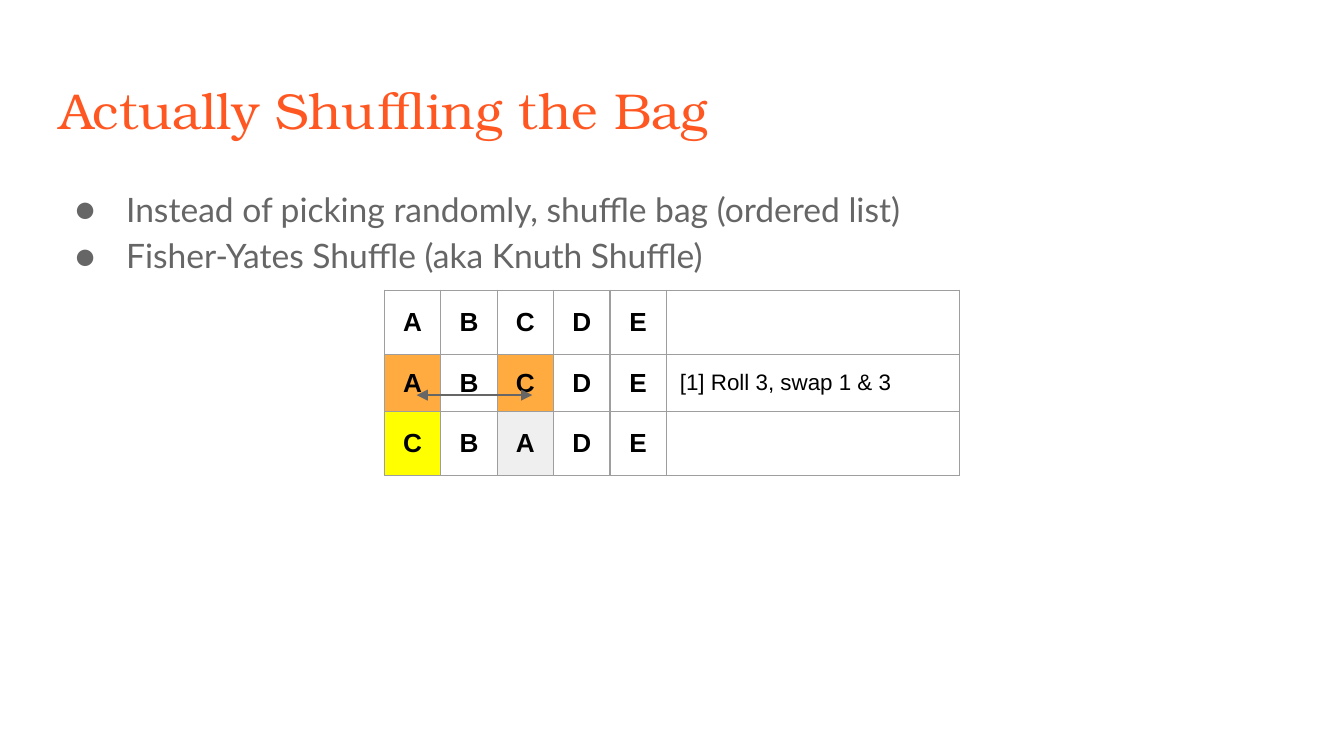
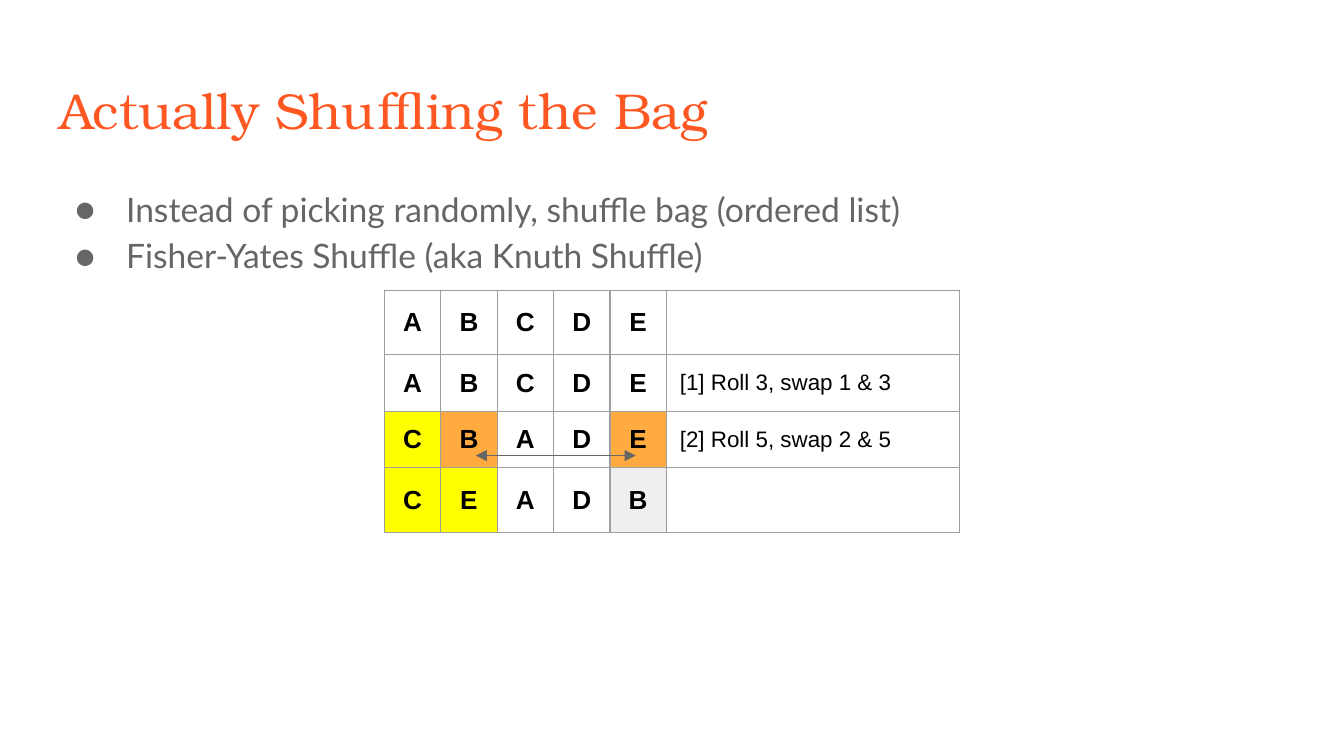
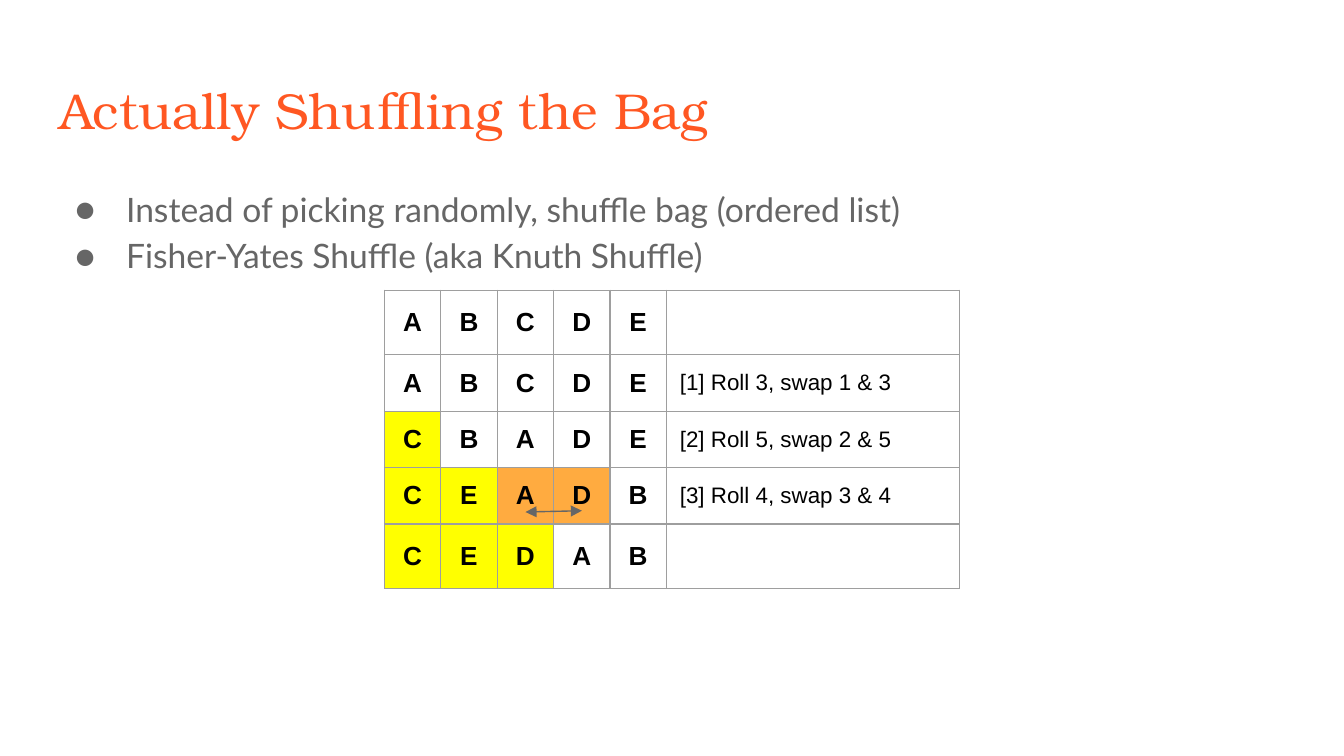
"""Build three slides that step through a Fisher-Yates shuffle."""
from lxml import etree
from pptx import Presentation
from pptx.dml.color import RGBColor
from pptx.enum.shapes import MSO_CONNECTOR
from pptx.enum.text import MSO_ANCHOR, MSO_AUTO_SIZE, PP_ALIGN
from pptx.oxml import parse_xml
from pptx.oxml.ns import nsdecls, qn
from pptx.util import Inches, Pt

STRAIGHT = MSO_CONNECTOR.STRAIGHT
TOP, MIDDLE = MSO_ANCHOR.TOP, MSO_ANCHOR.MIDDLE
LEFT, CENTER = PP_ALIGN.LEFT, PP_ALIGN.CENTER
NO_AUTOFIT = MSO_AUTO_SIZE.NONE

ORANGE_RED = RGBColor(0xFF, 0x57, 0x22)
GRAY = RGBColor(0x66, 0x66, 0x66)
BLACK = RGBColor(0x00, 0x00, 0x00)
SWAPPING = RGBColor(0xFF, 0xAB, 0x40)
SETTLED = RGBColor(0xFF, 0xFF, 0x00)
DISPLACED = RGBColor(0xEF, 0xEF, 0xEF)
BORDER = RGBColor(0x9E, 0x9E, 0x9E)

TITLE = "Actually Shuffling the Bag"
BULLETS = [
    "Instead of picking randomly, shuffle bag (ordered list)",
    "Fisher-Yates Shuffle (aka Knuth Shuffle)",
]
LETTERS = "ABCDE"
ROLLS = [3, 5, 4]
ARROWS = [(3.1, 2.94, 3.96, 2.94), (3.54, 3.39, 4.73, 3.39), (3.91, 3.81, 4.33, 3.8)]
CELL_SIZE = 0.42
TABLE_WIDTH = 4.28


def add_run(paragraph, text, size, font, color, bold=False):
    run = paragraph.add_run()
    run.text = text
    run.font.size = Pt(size)
    run.font.name = font
    run.font.color.rgb = color
    run.font.bold = bold


def set_frame(text_frame):
    text_frame.word_wrap = True
    text_frame.auto_size = NO_AUTOFIT
    text_frame.vertical_anchor = TOP
    text_frame.margin_left = text_frame.margin_right = Inches(0.1)
    text_frame.margin_top = text_frame.margin_bottom = Inches(0.1)


states = [list(LETTERS)]
for step, roll in enumerate(ROLLS):
    state = list(states[-1])
    state[step], state[roll - 1] = state[roll - 1], state[step]
    states.append(state)

presentation = Presentation()
presentation.slide_width = Inches(10)
presentation.slide_height = Inches(10) * 9 // 16
title_only = presentation.slide_layouts[5]

for step, (roll, arrow) in enumerate(zip(ROLLS, ARROWS), start=1):
    slide = presentation.slides.add_slide(title_only)

    title = slide.shapes.title
    title.left, title.top = Inches(0.34), Inches(0.49)
    title.width, title.height = Inches(9.32), Inches(0.63)
    set_frame(title.text_frame)
    paragraph = title.text_frame.paragraphs[0]
    paragraph.alignment = LEFT
    add_run(paragraph, TITLE, 27, "TeX Gyre Bonum", ORANGE_RED)

    body = slide.shapes.add_textbox(Inches(0.34), Inches(1.26), Inches(9.32), Inches(3.74))
    set_frame(body.text_frame)
    for index, bullet in enumerate(BULLETS):
        paragraph = body.text_frame.add_paragraph() if index else body.text_frame.paragraphs[0]
        paragraph.line_spacing = 1.15
        add_run(paragraph, bullet, 18, "Lato", GRAY)
        properties = paragraph._p.get_or_add_pPr()
        properties.set("marL", str(Inches(0.5)))
        properties.set("indent", str(Inches(-0.38)))
        bullet_color = etree.SubElement(properties, qn("a:buClr"))
        etree.SubElement(bullet_color, qn("a:srgbClr"), val=str(GRAY))
        etree.SubElement(properties, qn("a:buFont"), typeface="Lato")
        etree.SubElement(properties, qn("a:buChar"), char="●")

    rows = [(states[0], "", {})]
    for number in range(1, step + 1):
        fills = dict.fromkeys(range(number - 1), SETTLED)
        if number == step:
            fills.update({step - 1: SWAPPING, roll - 1: SWAPPING})
        note = f"[{number}] Roll {ROLLS[number - 1]}, swap {number} & {ROLLS[number - 1]}"
        rows.append((states[number - 1], note, fills))
    fills = dict.fromkeys(range(step), SETTLED)
    if step < len(ROLLS):
        fills[roll - 1] = DISPLACED
    rows.append((states[step], "", fills))

    table = slide.shapes.add_table(
        len(rows), len(LETTERS) + 1, Inches(2.86), Inches(2.16),
        Inches(TABLE_WIDTH), Inches(CELL_SIZE * len(rows))).table
    table.first_row = table.horz_banding = False
    for column in range(len(LETTERS)):
        table.columns[column].width = Inches(CELL_SIZE)
    table.columns[len(LETTERS)].width = Inches(TABLE_WIDTH - CELL_SIZE * len(LETTERS))

    for row, (state, note, fills) in enumerate(rows):
        table.rows[row].height = Inches(CELL_SIZE)
        for column, text in enumerate(state + [note]):
            cell = table.cell(row, column)
            cell.vertical_anchor = MIDDLE
            cell.margin_left = cell.margin_right = Inches(0.1)
            cell.margin_top = cell.margin_bottom = Inches(0.1)
            paragraph = cell.text_frame.paragraphs[0]
            if column < len(LETTERS):
                paragraph.alignment = CENTER
                add_run(paragraph, text, 14, "Arial", BLACK, bold=True)
            else:
                add_run(paragraph, text, 12 if text else 18, "Arial", BLACK)
            for side in ("lnL", "lnR", "lnT", "lnB"):
                cell._tc.get_or_add_tcPr().append(parse_xml(
                    f'<a:{side} {nsdecls("a")} w="{Pt(0.75)}"><a:solidFill>'
                    f'<a:srgbClr val="{BORDER}"/></a:solidFill></a:{side}>'))
            if column in fills:
                cell.fill.solid()
                cell.fill.fore_color.rgb = fills[column]
            else:
                cell.fill.background()

    swap_arrow = slide.shapes.add_connector(STRAIGHT, *[Inches(value) for value in arrow])
    swap_arrow.line.color.rgb = GRAY
    swap_arrow.line.width = Pt(0.75)
    line = swap_arrow.line._get_or_add_ln()
    for end in ("a:headEnd", "a:tailEnd"):
        etree.SubElement(line, qn(end), type="triangle")
    etree.SubElement(swap_arrow._element.spPr, qn("a:effectLst"))

presentation.save("out.pptx")
